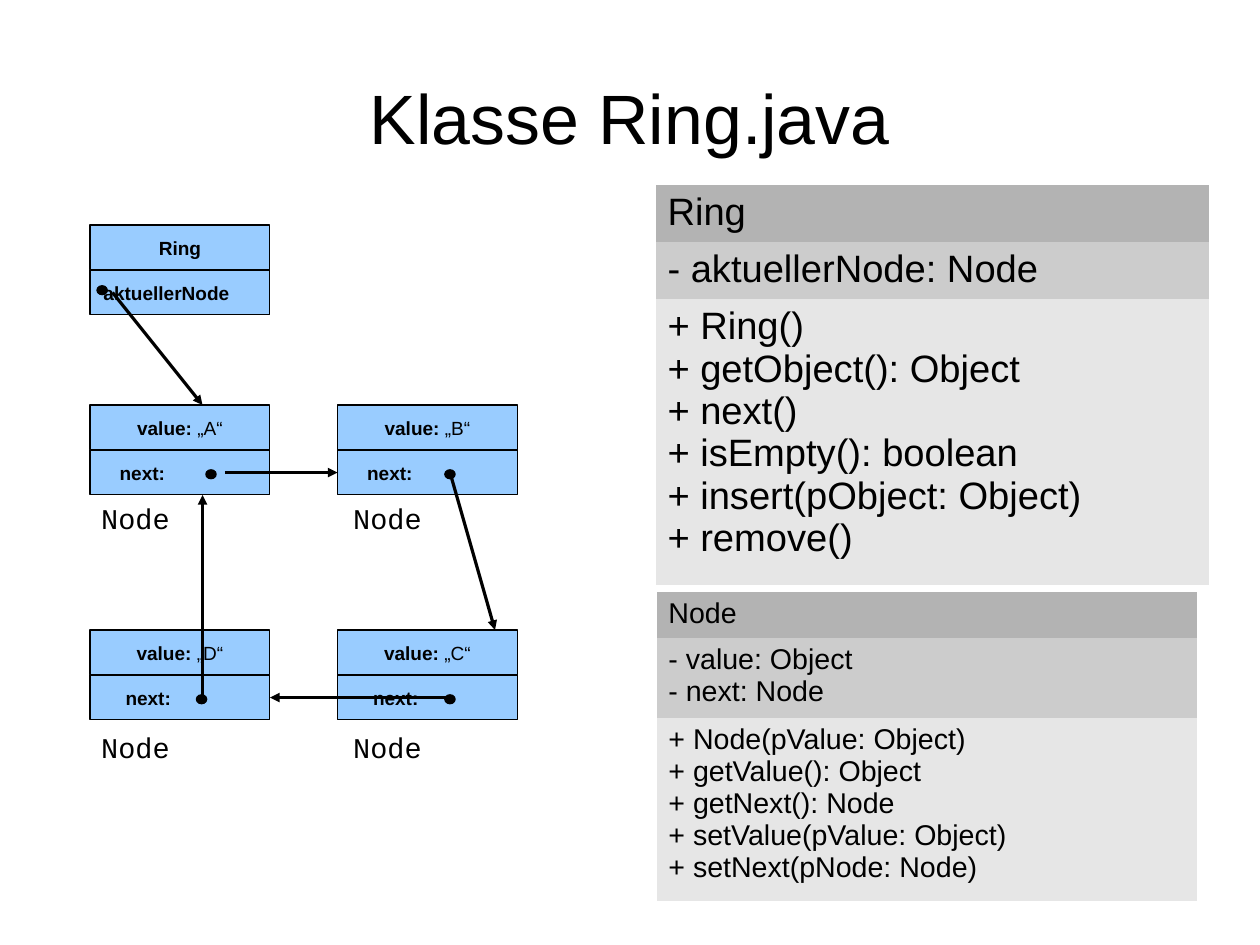
"""Build the slide about the Ring class: linked nodes beside two class tables."""
from pptx import Presentation
from pptx import util as u
from pptx.dml.color import RGBColor
from pptx.enum import shapes, text
from pptx.oxml import ns, xmlchemy

BLACK = RGBColor(0x00, 0x00, 0x00)
BLUE = RGBColor(0x99, 0xCC, 0xFF)
GREYS = [RGBColor(0xB3, 0xB3, 0xB3), RGBColor(0xCC, 0xCC, 0xCC), RGBColor(0xE6, 0xE6, 0xE6)]
PLAIN_TABLE = "{2D5ABB26-0587-4C30-8999-92F81FD0307C}"

COLUMNS, ROWS = 28, 21
BOX_WIDTH, BOX_HEIGHT = 4, 1
DOT_WIDTH, DOT_HEIGHT = 0.23, 0.2
LEFT, RIGHT = 2, 7.5
RING_ROW, UPPER, LOWER = 5, 9, 14

NODES = [
    ("A", LEFT, UPPER, 0.66),
    ("B", RIGHT, UPPER, 0.66),
    ("C", RIGHT, LOWER, 0.79),
    ("D", LEFT, LOWER, 0.79),
]
LABELS = [(LEFT, 11), (7.6, 11), (7.6, 16.1), (LEFT, 16.1)]
DOTS = [(4.69, 10.54), (10, 10.54), (10, 15.54), (4.48, 15.54), (2.27, 6.45)]
ARROWS = [
    ((2.5, 6.5), (4.5, 9)),
    ((5, 10.5), (7.5, 10.5)),
    ((10, 10.5), (11, 14)),
    ((10, 15.5), (6, 15.5)),
    ((4.5, 15.5), (4.5, 11)),
]
RING_CLASS = [
    ["Ring"],
    ["- aktuellerNode: Node"],
    ["+ Ring()", "+ getObject(): Object", "+ next()", "+ isEmpty(): boolean",
     "+ insert(pObject: Object)", "+ remove()"],
]
NODE_CLASS = [
    ["Node"],
    ["- value: Object", "- next: Node"],
    ["+ Node(pValue: Object)", "+ getValue(): Object", "+ getNext(): Node",
     "+ setValue(pValue: Object)", "+ setNext(pNode: Node)"],
]


def grid(*units):
    """Turn grid units into lengths."""
    return [u.Cm(unit) for unit in units]


def add_span(para, words, size, bold=False, font="Arial"):
    """Append one run of black text."""
    span = para.add_run()
    span.text = words
    span.font.name, span.font.size, span.font.bold = font, u.Pt(size), bold
    span.font.color.rgb = BLACK


def style_shape(shape, fill):
    """Give a shape a flat fill and a black hairline."""
    shape.shadow.inherit = False
    shape.fill.solid()
    shape.fill.fore_color.rgb = fill
    shape.line.color.rgb = BLACK
    shape.line.width = u.Pt(0)


def add_field(holder, column, row, spans, inset=None):
    """Draw one box of an object, centred or starting at the given inset."""
    box = holder.add_shape(shapes.MSO_SHAPE.RECTANGLE, *grid(column, row, BOX_WIDTH, BOX_HEIGHT))
    style_shape(box, BLUE)
    frame = box.text_frame
    frame.vertical_anchor = text.MSO_ANCHOR.MIDDLE
    para = frame.paragraphs[0]
    para.alignment = text.PP_ALIGN.CENTER
    if inset is not None:
        para.alignment = text.PP_ALIGN.LEFT
        frame.margin_left = u.Cm(inset)
    for words, bold in spans:
        add_span(para, words, 12, bold)


def add_object(holder, column, row, head, field, inset):
    """Stack the head of an object on its reference field."""
    add_field(holder, column, row, head)
    add_field(holder, column, row + BOX_HEIGHT, [(field, True)], inset)


def add_dot(page, x, y):
    """Mark the start of a reference, centred on a point."""
    dot = page.shapes.add_shape(
        shapes.MSO_SHAPE.OVAL,
        *grid(x - DOT_WIDTH / 2, y - DOT_HEIGHT / 2, DOT_WIDTH, DOT_HEIGHT))
    style_shape(dot, BLACK)


def add_arrow(page, start, end):
    """Draw a reference from one point to another."""
    arrow = page.shapes.add_connector(shapes.MSO_CONNECTOR.STRAIGHT, *grid(*start, *end))
    arrow.line.color.rgb = BLACK
    arrow.line.width = u.Pt(0)
    head = xmlchemy.OxmlElement("a:tailEnd")
    head.set("type", "triangle")
    arrow.line._get_or_add_ln().append(head)
    arrow.element.spPr.append(xmlchemy.OxmlElement("a:effectLst"))


def add_label(page, column, row):
    """Name the class under a node."""
    box = page.shapes.add_textbox(*grid(column, row, 2.5, 1.6))
    box.text_frame.word_wrap = True
    add_span(box.text_frame.paragraphs[0], "Node", 18, font="Courier New")


def add_title(page, words):
    """Set the heading across the top."""
    box = page.shapes.add_textbox(*grid(1.4, 0.84, COLUMNS - 2.8, 3.5))
    frame = box.text_frame
    frame.word_wrap = True
    frame.vertical_anchor = text.MSO_ANCHOR.MIDDLE
    frame.margin_left = frame.margin_right = frame.margin_top = frame.margin_bottom = 0
    frame.paragraphs[0].alignment = text.PP_ALIGN.CENTER
    add_span(frame.paragraphs[0], words, 44)


def add_class(page, column, row, width, heights, sections, size):
    """Set a class diagram as a table with name, attributes and methods."""
    frame = page.shapes.add_table(
        len(sections), 1, *grid(column, row, width, sum(heights)))
    table = frame.table
    table.first_row = table.horz_banding = False
    for style in frame.element.iter(ns.qn("a:tableStyleId")):
        style.text = PLAIN_TABLE
    for index, (lines, height, grey) in enumerate(zip(sections, heights, GREYS)):
        table.rows[index].height = u.Cm(height)
        cell = table.cell(index, 0)
        cell.fill.solid()
        cell.fill.fore_color.rgb = grey
        for number, line in enumerate(lines):
            paras = cell.text_frame
            para = paras.add_paragraph() if number else paras.paragraphs[0]
            add_span(para, line, size)


def main():
    """Compose and save the slide."""
    deck = Presentation()
    deck.slide_width, deck.slide_height = grid(COLUMNS, ROWS)
    page = deck.slides.add_slide(deck.slide_layouts[6])
    add_title(page, "Klasse Ring.java")
    ring = page.shapes.add_group_shape().shapes
    add_object(ring, LEFT, RING_ROW, [("Ring", True)], "aktuellerNode", 0.3)
    for letter, column, row, inset in NODES:
        head = [("value:", True), (f" „{letter}“", False)]
        add_object(page.shapes, column, row, head, "next:", inset)
    for start, end in ARROWS:
        add_arrow(page, start, end)
    for x, y in DOTS:
        add_dot(page, x, y)
    for column, row in LABELS:
        add_label(page, column, row)
    add_class(page, 14.58, 4.11, 12.29, [1.27, 1.27, 6.35], RING_CLASS, 24)
    add_class(page, 14.6, 13.16, 12, [1.02, 1.78, 4.07], NODE_CLASS, 18)
    deck.save("out.pptx")


if __name__ == "__main__":
    main()
